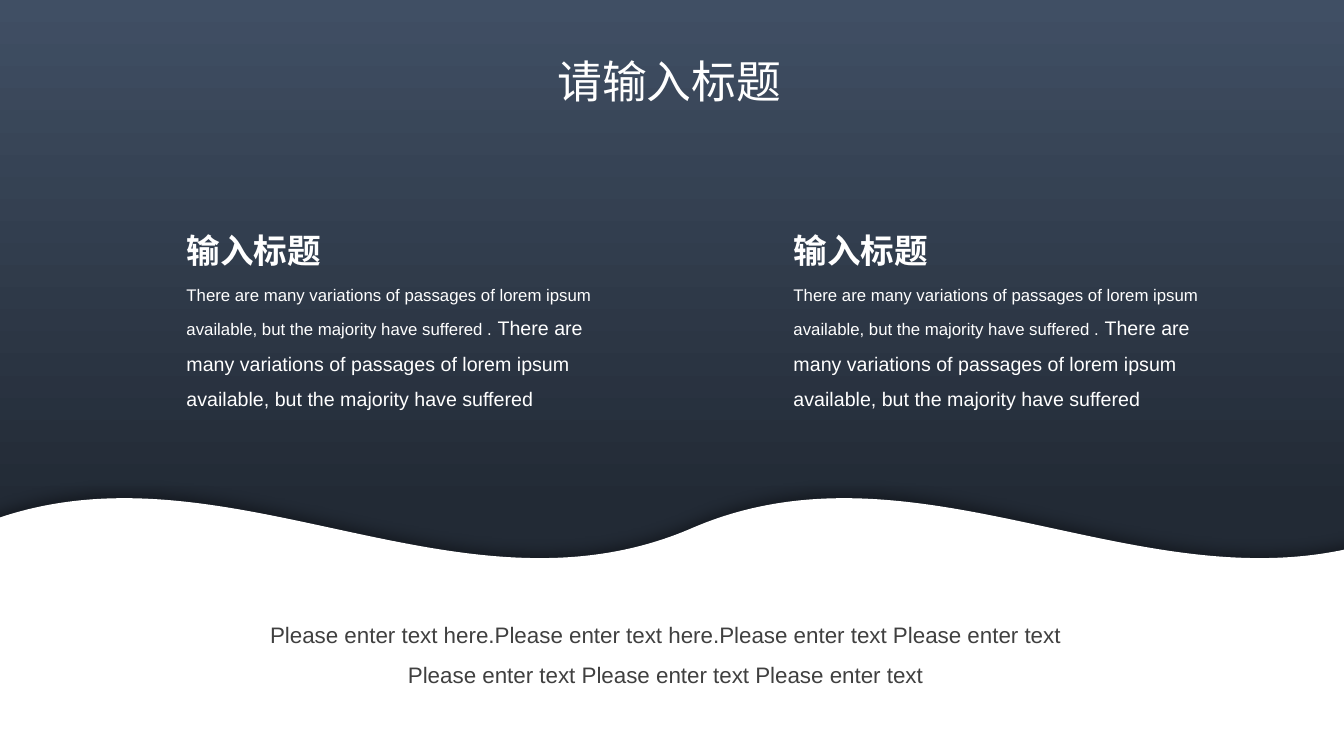
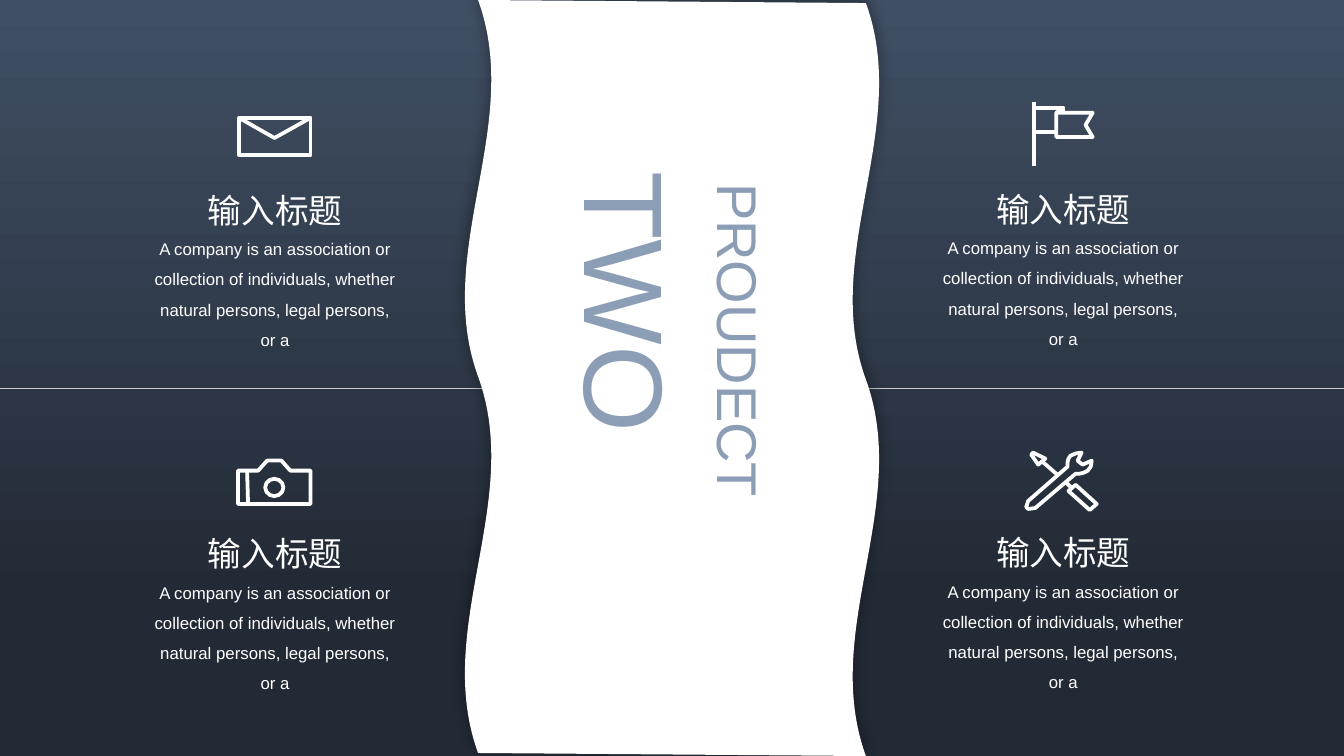
from lxml import etree
from pptx import Presentation
from pptx.dml.color import RGBColor
from pptx.enum.shapes import MSO_CONNECTOR, MSO_SHAPE
from pptx.enum.text import MSO_ANCHOR, MSO_AUTO_SIZE, PP_ALIGN
from pptx.oxml.ns import qn
from pptx.util import Pt

RECT, OVAL, WAVE = MSO_SHAPE.RECTANGLE, MSO_SHAPE.OVAL, MSO_SHAPE.DOUBLE_WAVE
LINE = MSO_CONNECTOR.STRAIGHT
LEFT, CENTER, JUST = PP_ALIGN.LEFT, PP_ALIGN.CENTER, PP_ALIGN.JUSTIFY
TOP, MIDDLE = MSO_ANCHOR.TOP, MSO_ANCHOR.MIDDLE
GROW, FIXED = MSO_AUTO_SIZE.SHAPE_TO_FIT_TEXT, MSO_AUTO_SIZE.NONE

WIDE, HIGH = 960, 540
FONT = "Arial"
WHITE, GREY, RULE, BLUE = "FFFFFF", "404040", "CBCBCB", "8C9DB6"
SHADE = [(0, "404F64"), (0.79, "222A35")]
STROKE = 2.7

HEAD = "输入标题"
LOREM = "There are many variations of passages of lorem ipsum available, but the majority have suffered"
FIRM = "A company is an association or collection of individuals, whether natural persons, legal persons, or a"
NOTE = ("Please enter text here.Please enter text here.Please enter text "
        "Please enter text Please enter text Please enter text Please enter text")

MAIL = dict(at=(72.7, -47.6), paths=[
    ([(0, 0), (51.2, 0), (51.2, 26.6), (0, 26.6)], True),
    ([(0, 0), (25.4, 14.4), (51.2, 0)], False)])
FLAG = dict(at=(77.7, -58.4), paths=[
    ([(0, 0), (0, 46)], False),
    ([(20.9, 4.3), (15.8, 7.9), (15.8, 25.2), (41.8, 25.2), (36.7, 16.6),
      (41.8, 7.9), (15.8, 7.9)], False),
    ([(15.8, 21.6), (0, 21.6), (0, 4.3), (20.9, 4.3), (20.9, 7.9)], False)])
CAMERA = dict(at=(72, -48.3), lens=(19.4, 13, 13, 12.4), paths=[
    ([(37.4, 7.2), (31, 0), (20.9, 0), (14.4, 7.2), (0, 7.2), (0, 31),
      (51.8, 31), (51.8, 7.2)], True),
    ([(6.5, 7.2), (7.2, 31)], False)])
TOOLS = dict(at=(72, -53.3), paths=[
    ([(28.8, 21.6), (32.4, 25.2)], False),
    ([(30.2, 27.4), (35.3, 23), (50.4, 36.7), (45.4, 41)], True),
    ([(8.6, 8.6), (13.7, 4.3), (5, 0), (3.6, 1.4)], True),
    ([(22.3, 15.8), (10.8, 5.8)], False),
    ([(46.8, 5.8), (40.3, 8.6), (36.7, 5.8), (39.6, 0), (35.3, 0.7),
      (31.7, 2.2), (30.2, 4.3), (29.5, 7.2), (29.5, 10.1), (1.4, 34.6),
      (0, 38.9), (1.4, 40.3), (6.5, 39.6), (35.3, 15.1), (38.2, 15.1),
      (41, 14.4), (43.9, 13), (46.1, 10.1)], True)])
ICONS = [[MAIL, FLAG], [CAMERA, TOOLS]]


def tint(color, code):
    color.rgb = RGBColor.from_string(code)


def ink(line, code, width):
    line.fill.solid()
    tint(line.fill.fore_color, code)
    line.width = Pt(width)


def shape(slide, kind, box):
    item = slide.shapes.add_shape(kind, *map(Pt, box))
    item.shadow.inherit = False
    item.line.fill.background()
    return item


def back(slide, high):
    fill = shape(slide, RECT, (0, 0, WIDE, high)).fill
    fill.gradient()
    fill.gradient_angle = 270
    for stop, (pos, code) in zip(fill.gradient_stops, SHADE):
        stop.position = pos
        tint(stop.color, code)


def wave(slide, box, bend, turn=0):
    item = shape(slide, WAVE, box)
    item.adjustments[0] = bend
    item.adjustments[1] = -0.002
    item.rotation = turn
    item.fill.solid()
    tint(item.fill.fore_color, WHITE)
    glow = etree.SubElement(
        item.element.spPr.find(qn("a:effectLst")), qn("a:outerShdw"),
        blurRad=str(Pt(10)), dist=str(Pt(3)), dir="16200000", rotWithShape="0")
    black = etree.SubElement(glow, qn("a:srgbClr"), val="000000")
    etree.SubElement(black, qn("a:alpha"), val="38000")


def text(slide, box, paras, code=WHITE, align=LEFT, space=1, wrap=True,
         anchor=TOP, inset=(7.2, 3.6), size=GROW, vert=None):
    item = slide.shapes.add_textbox(*map(Pt, box))
    frame = item.text_frame
    frame.word_wrap = wrap
    frame.auto_size = size
    frame.vertical_anchor = anchor
    frame.margin_left = frame.margin_right = Pt(inset[0])
    frame.margin_top = frame.margin_bottom = Pt(inset[1])
    if vert:
        item.element.txBody.bodyPr.set("vert", vert)
    for num, runs in enumerate(paras):
        para = frame.add_paragraph() if num else frame.paragraphs[0]
        para.alignment = align
        para.line_spacing = space
        if num:
            para.space_before = Pt(2.8)
        for words, points, bold in runs:
            run = para.add_run()
            run.text = words
            run.font.name = FONT
            run.font.size = Pt(points)
            run.font.bold = bold
            tint(run.font.color, code)


def rule(slide, start, end, code, width):
    item = slide.shapes.add_connector(LINE, *map(Pt, start + end))
    ink(item.line, code, width)
    etree.SubElement(item.element.spPr, qn("a:effectLst"))
    return item


def trace(slide, dots, close):
    if len(dots) == 2:
        return rule(slide, *dots, WHITE, STROKE)
    dots = [(Pt(x), Pt(y)) for x, y in dots]
    pen = slide.shapes.build_freeform(*dots[0], scale=1.0)
    pen.add_line_segments(dots[1:], close=close)
    item = pen.convert_to_shape()
    item.shadow.inherit = False
    item.fill.background()
    ink(item.line, WHITE, STROKE)
    return item


def icon(slide, left, top, art):
    left, top = left + art["at"][0], top + art["at"][1]
    for dots, close in art["paths"]:
        item = trace(slide, [(left + x, top + y) for x, y in dots], close)
        etree.SubElement(item.element.spPr.find(qn("a:ln")), qn("a:round"))
    if "lens" in art:
        x, y, wide, high = art["lens"]
        ring = shape(slide, OVAL, (left + x, top + y, wide, high))
        ring.fill.background()
        ink(ring.line, WHITE, STROKE)


def column(slide, left, top):
    text(slide, (left, top, 300, 142),
         [[(HEAD, 24, True)],
          [(LOREM + " .", 12, False), (" " + LOREM, 14, False)]],
         space=1.5, anchor=MIDDLE, inset=(0, 0))


def cell(slide, left, top, art):
    icon(slide, left, top, art)
    text(slide, (left, top, 197, 20), [[(HEAD, 24, False)]],
         align=CENTER, size=FIXED)
    text(slide, (left + 3.8, top + 28, 189.4, 48), [[(FIRM, 12, False)]],
         align=CENTER, space=1.5, size=FIXED)


def upright(slide, box, words, points):
    text(slide, box, [[(words, points, False)]], code=BLUE, align=JUST,
         space=1.5, vert="eaVert")


def pair(slide):
    back(slide, 459.4)
    wave(slide, (-24, 355, 1032.5, 296.6), 0.075)
    text(slide, (391, 34.6, 176.4, 46), [[("请输入标题", 32, False)]], wrap=False)
    text(slide, (177.8, 430.6, 595.4, 62), [[(NOTE, 16, False)]],
         code=GREY, align=CENTER, space=1.5)
    for left in (133.2, 566.8):
        column(slide, left, 150.5)


def grid(slide):
    back(slide, HIGH)
    rule(slide, (0, 277.2), (WIDE, 277.2), RULE, 0.75)
    for row, arts in enumerate(ICONS):
        for col, art in enumerate(arts):
            cell(slide, 98 + 563 * col, 131.8 + 245.5 * row - 0.7 * col, art)
    wave(slide, (210, 121.7, HIGH, 296.6), 0.033, 270)
    upright(slide, (389.5, 115.2, 159.8, 311.8), "TWO", 80)
    upright(slide, (493.2, 123.8, 87.1, 303.1), "PROUDECT", 40)


def main():
    deck = Presentation()
    deck.slide_width, deck.slide_height = Pt(WIDE), Pt(HIGH)
    for build in (pair, grid):
        build(deck.slides.add_slide(deck.slide_layouts[6]))
    deck.save("out.pptx")


if __name__ == "__main__":
    main()
